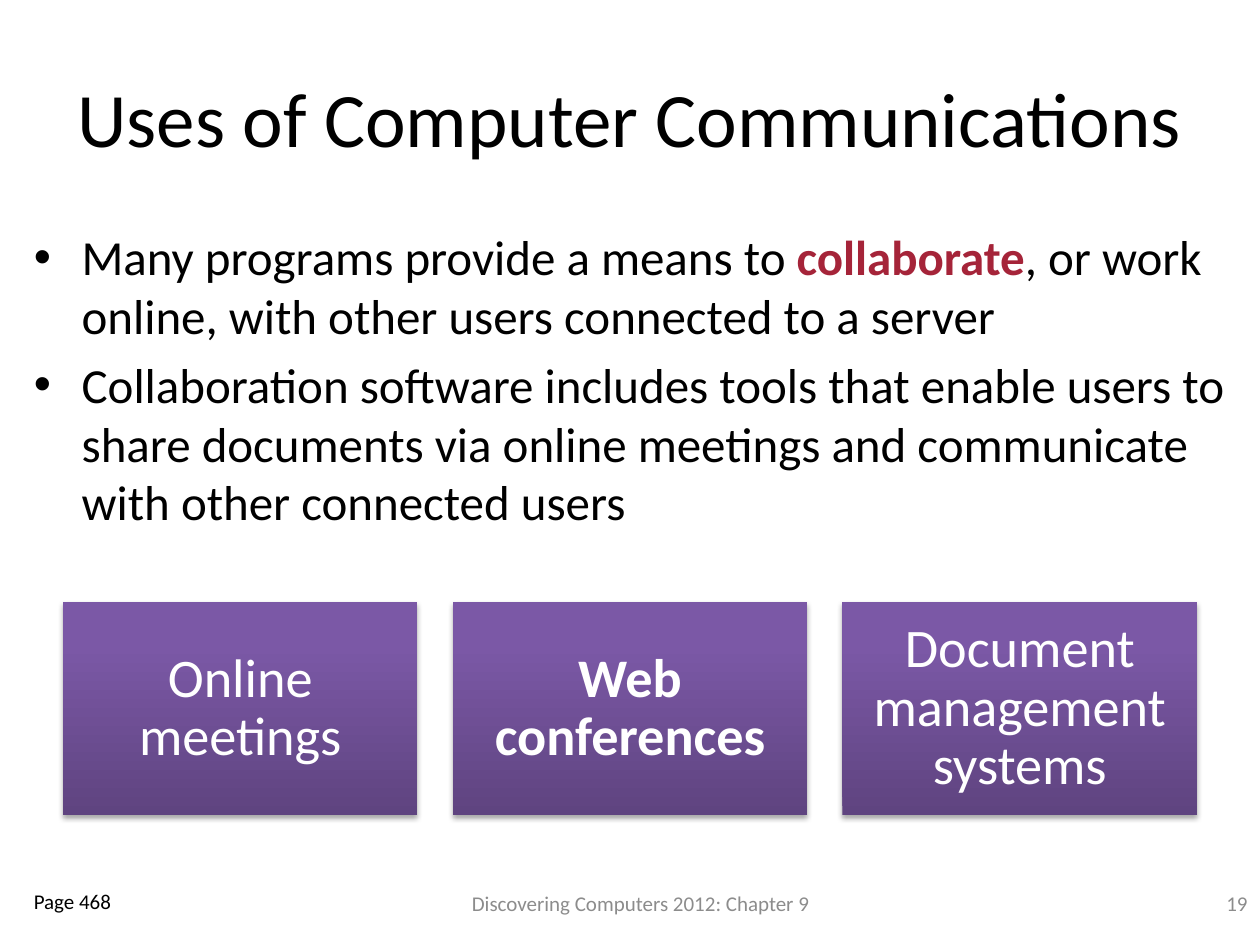
import copy

import pptx
import pptx.util
import pptx.dml.color
import pptx.enum.shapes
import pptx.enum.text
import pptx.oxml
import pptx.oxml.ns
from pptx.util import Inches

RGBColor = pptx.dml.color.RGBColor
ALIGN = pptx.enum.text.PP_ALIGN
ANCHOR = pptx.enum.text.MSO_ANCHOR
qn = pptx.oxml.ns.qn

BLACK = RGBColor(0x00, 0x00, 0x00)
WHITE = RGBColor(0xFF, 0xFF, 0xFF)
GRAY = RGBColor(0x8C, 0x8C, 0x8C)
CRIMSON = RGBColor(0xA5, 0x24, 0x39)
GRADIENT = [
    (0, RGBColor(0x5F, 0x44, 0x80)),
    (0.8, RGBColor(0x7B, 0x58, 0xA6)),
    (1, RGBColor(0x7C, 0x57, 0xA8)),
]
FONT = "Calibri"

# Each bullet is a list of (text, is key term)
BULLETS = [
    [("Many programs provide a means to ", False), ("collaborate", True),
     (", or work online, with other users connected to a server", False)],
    [("Collaboration software includes tools that enable users to share documents "
      "via online meetings and communicate with other connected users", False)],
]
CARDS = [("Online meetings", False), ("Web conferences", True),
         ("Document management systems", False)]


def set_font(paragraph, size, color, bold=None):
    font = paragraph.font
    font.name = FONT
    font.size = pptx.util.Pt(size)
    font.color.rgb = color
    font.bold = bold


def add_title(slide, text, left, top, width, height):
    title = slide.shapes.title
    title.left, title.top, title.width, title.height = left, top, width, height
    title.text_frame.text = text
    title.text_frame.vertical_anchor = ANCHOR.MIDDLE
    paragraph = title.text_frame.paragraphs[0]
    paragraph.alignment = ALIGN.CENTER
    set_font(paragraph, 44, BLACK)


def add_bullets(slide, bullets, left, top, width, height):
    frame = slide.shapes.add_textbox(left, top, width, height).text_frame
    frame.word_wrap = True
    for index, parts in enumerate(bullets):
        paragraph = frame.paragraphs[0] if index == 0 else frame.add_paragraph()
        if index:
            paragraph.space_before = pptx.util.Pt(5.6)
        properties = paragraph._p.get_or_add_pPr()
        properties.set("marL", str(Inches(0.38)))
        properties.set("indent", str(-Inches(0.38)))
        for tag, name, value in [("a:buFont", "typeface", "Arial"),
                                 ("a:buChar", "char", "•")]:
            bullet = pptx.oxml.ns.qn(tag)
            element = properties.makeelement(bullet, {name: value})
            properties.append(element)
        set_font(paragraph, 28, BLACK)
        for text, is_key in parts:
            run = paragraph.add_run()
            run.text = text
            if is_key:
                run.font.bold = True
                run.font.color.rgb = CRIMSON


def add_card(slide, text, bold, left, top, width, height):
    card = slide.shapes.add_shape(
        pptx.enum.shapes.MSO_SHAPE.RECTANGLE, left, top, width, height)
    card.line.fill.background()

    # Three-stop gradient, dark at the bottom
    card.fill.gradient()
    card.fill.gradient_angle = 90
    stop_list = card._element.spPr.find(qn("a:gradFill")).find(qn("a:gsLst"))
    stop_list.append(copy.deepcopy(stop_list[0]))
    for stop, (position, color) in zip(card.fill.gradient_stops, GRADIENT):
        stop.position = position
        stop.color.rgb = color

    # Soft shadow below
    card.shadow.inherit = False
    card._element.spPr.find(qn("a:effectLst")).append(pptx.oxml.parse_xml(
        f'<a:outerShdw {pptx.oxml.ns.nsdecls("a")} blurRad="40000" dist="23000" '
        'dir="5400000" rotWithShape="0"><a:srgbClr val="000000">'
        '<a:alpha val="35000"/></a:srgbClr></a:outerShdw>'))

    # Label
    frame = card.text_frame
    frame.word_wrap = True
    frame.vertical_anchor = ANCHOR.MIDDLE
    frame.margin_left = frame.margin_right = Inches(0.13)
    frame.margin_top = frame.margin_bottom = Inches(0.13)
    frame.text = text
    paragraph = frame.paragraphs[0]
    paragraph.alignment = ALIGN.CENTER
    paragraph.line_spacing = 0.9
    set_font(paragraph, 31, WHITE, bold)


def add_card_row(slide, cards, left, top, width, height):
    gap = Inches(0.28)
    card_width = (width - gap * (len(cards) - 1)) // len(cards)
    for index, (text, bold) in enumerate(cards):
        add_card(slide, text, bold, left + index * (card_width + gap), top,
                 card_width, height)


def add_footer_text(slide, text, color, alignment, anchor, left, top, width, height):
    frame = slide.shapes.add_textbox(left, top, width, height).text_frame
    frame.word_wrap = True
    frame.vertical_anchor = anchor
    frame.text = text
    frame.paragraphs[0].alignment = alignment
    set_font(frame.paragraphs[0], 12, color)


def main():
    presentation = pptx.Presentation()
    presentation.slide_width = Inches(10)
    presentation.slide_height = Inches(7.5)
    slide = presentation.slides.add_slide(presentation.slide_layouts[5])

    add_title(slide, "Uses of Computer Communications",
              Inches(0.5), Inches(0.3), Inches(9), Inches(1.25))
    add_bullets(slide, BULLETS, Inches(0.17), Inches(1.75), Inches(9.67), Inches(5.08))
    add_card_row(slide, CARDS, Inches(0.5), Inches(4.78), Inches(9), Inches(1.69))

    # Footer: page reference, book chapter, slide number
    add_footer_text(slide, "Page 468", BLACK, ALIGN.LEFT, ANCHOR.TOP,
                    Inches(0.17), Inches(7), Inches(1.83), Inches(0.5))
    add_footer_text(slide, "Discovering Computers 2012: Chapter 9", GRAY,
                    ALIGN.CENTER, ANCHOR.MIDDLE,
                    Inches(3), Inches(6.92), Inches(4.17), Inches(0.5))
    add_footer_text(slide, "19", GRAY, ALIGN.RIGHT, ANCHOR.MIDDLE,
                    Inches(9.33), Inches(6.83), Inches(0.67), Inches(0.67))

    presentation.save("out.pptx")


if __name__ == "__main__":
    main()
